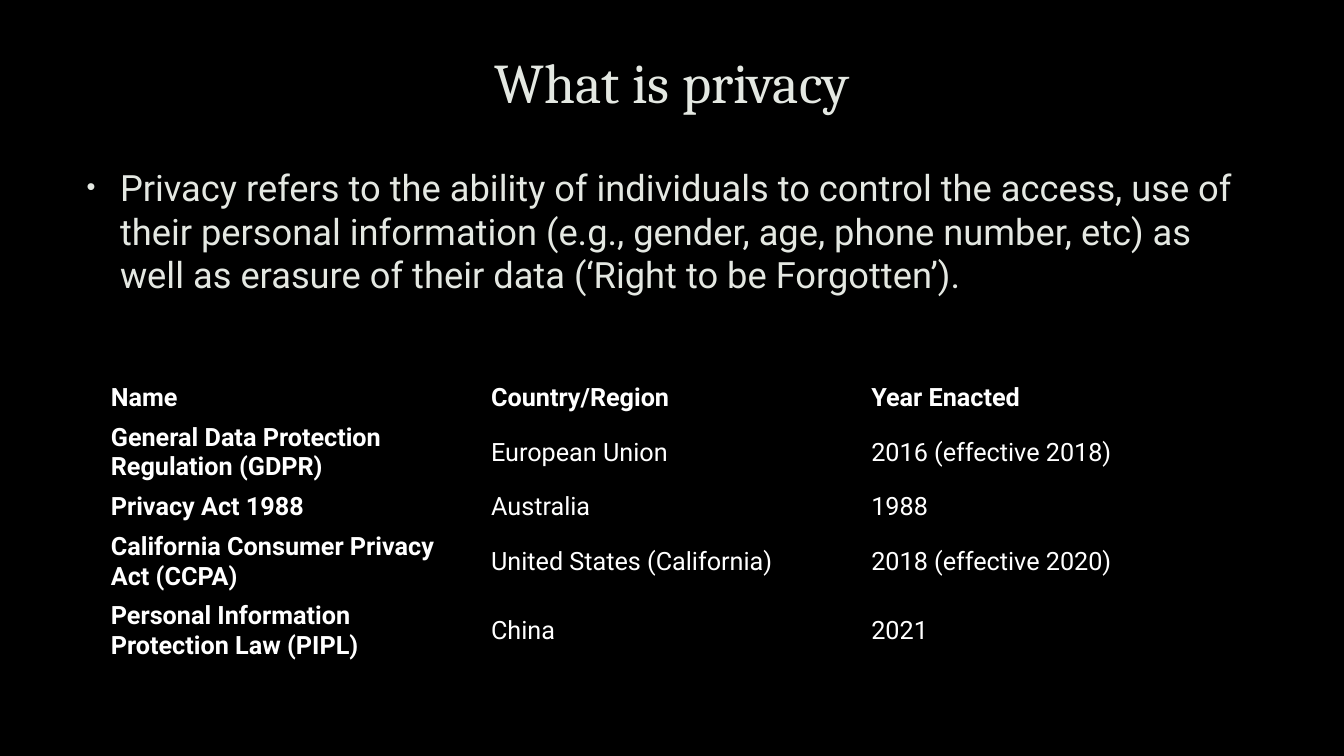
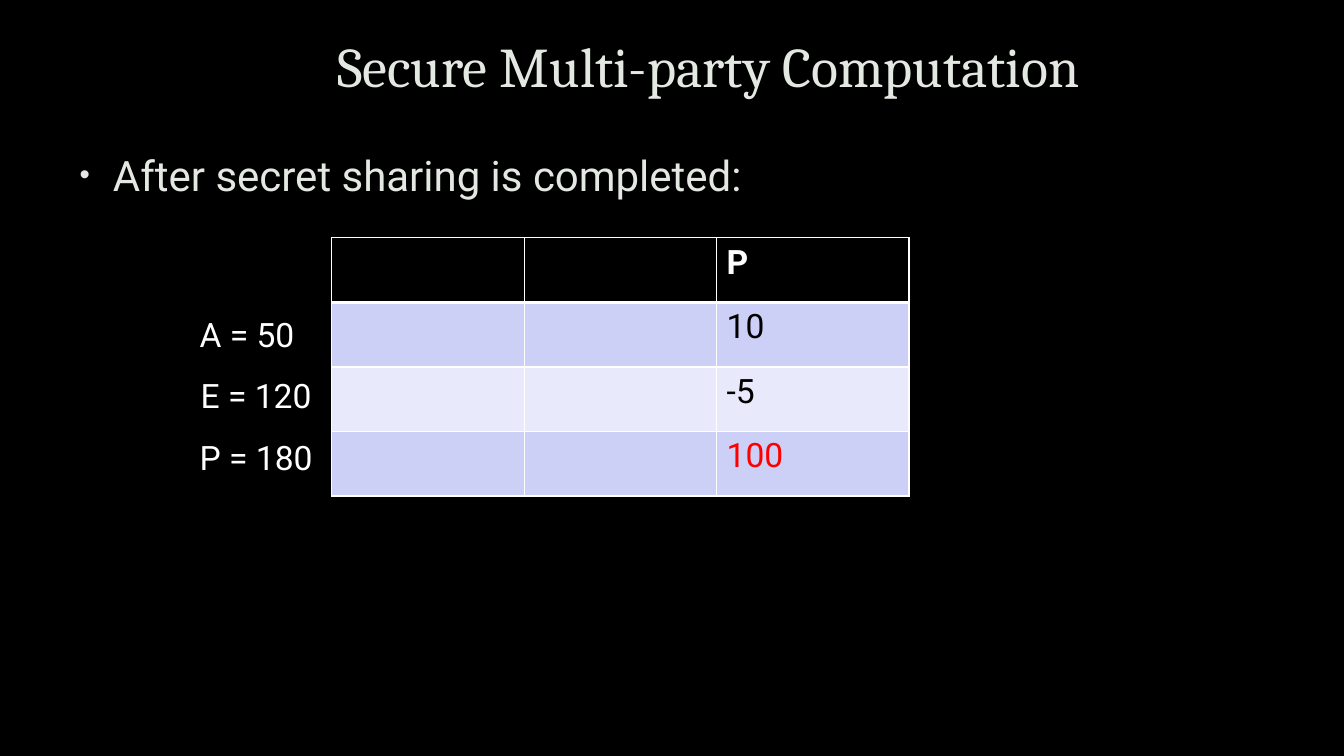
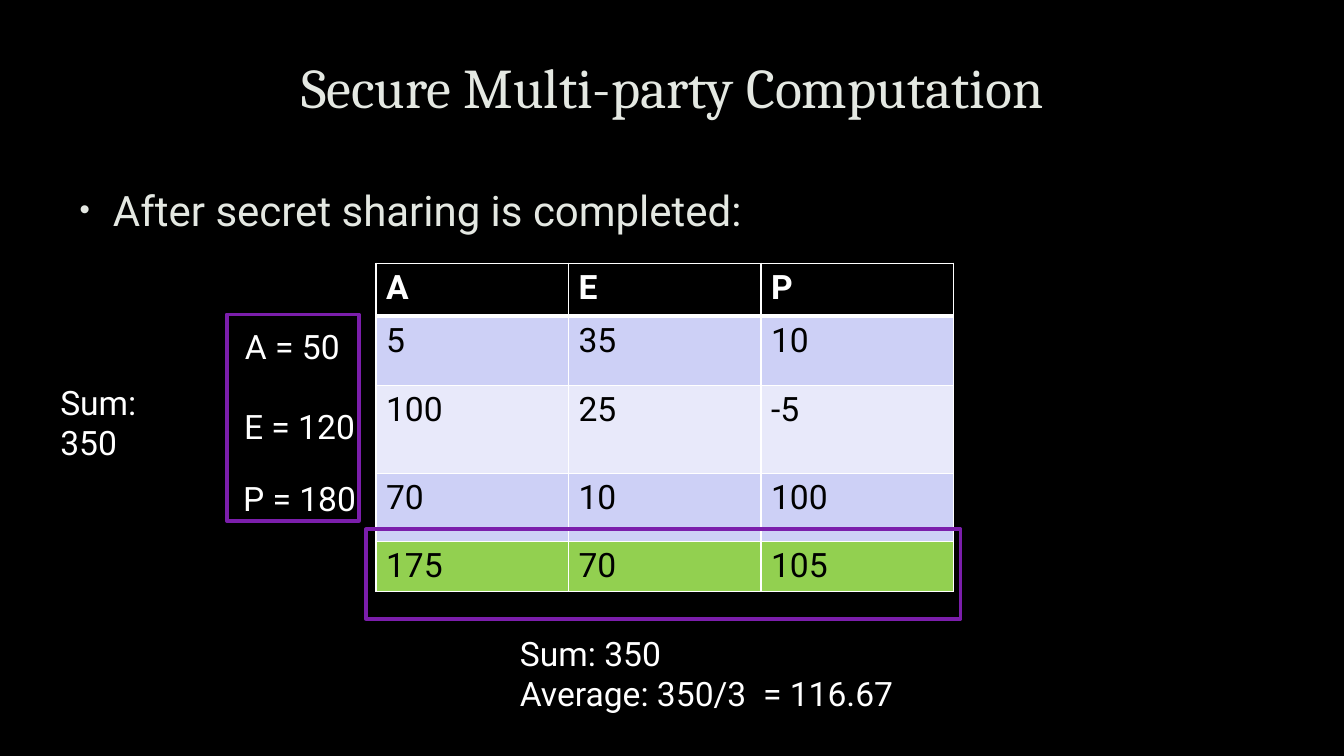
from lxml.etree import SubElement
from pptx import Presentation
from pptx.dml.color import RGBColor
from pptx.enum.shapes import MSO_SHAPE
from pptx.enum.text import MSO_ANCHOR, MSO_AUTO_SIZE, PP_ALIGN
from pptx.oxml.ns import qn
from pptx.util import Pt

COLORS = {
    "background": "000000",
    "heading": "E4E8E2",
    "white": "FFFFFF",
    "black": "000000",
    "band_dark": "CDD0F6",
    "band_light": "E8E9FA",
    "total": "92D050",
    "alert": "FF0000",
    "frame": "7B1EAB",
}
RGB = {name: RGBColor.from_string(value) for name, value in COLORS.items()}
TITLE_FONT = "Cambria"
BODY_FONT = "Roboto"
PLAIN_TABLE_STYLE = "{2D5ABB26-0587-4C30-8999-92F81FD0307C}"


def add_slide(title, title_place, bullet, body_place, body_size, line_spacing):
    """Add a page with a centred title and one bullet; places are left, top, width, height."""
    page = deck.slides.add_slide(deck.slide_layouts[1])
    for box, text, place in (
        (page.shapes.title, title, title_place),
        (page.placeholders[1], bullet, body_place),
    ):
        box.left, box.top, box.width, box.height = [Pt(length) for length in place]
        box.text_frame.text = text
        box.text_frame.word_wrap = True
        box.text_frame.auto_size = MSO_AUTO_SIZE.NONE

    page.shapes.title.text_frame.vertical_anchor = MSO_ANCHOR.MIDDLE
    heading = page.shapes.title.text_frame.paragraphs[0]
    heading.alignment = PP_ALIGN.CENTER
    heading.line_spacing = 0.9

    para = page.placeholders[1].text_frame.paragraphs[0]
    props = para._p.get_or_add_pPr()
    props.set("marL", str(Pt(27.4)))
    props.set("indent", str(Pt(-23.8)))
    bullet_color = SubElement(props, qn("a:buClr"))
    SubElement(bullet_color, qn("a:srgbClr"), val=COLORS["heading"])
    SubElement(props, qn("a:buSzPct"), val="70000")
    SubElement(props, qn("a:buChar"), char="•")
    para.line_spacing = line_spacing
    para.space_after = Pt(6)

    for line, font_name, size in ((heading, TITLE_FONT, 40), (para, BODY_FONT, body_size)):
        line.font.name = font_name
        line.font.size = Pt(size)
        line.font.color.rgb = RGB["heading"]
    return page


def add_plain_table(page, left, top, column_width, heights, rows, size):
    """Add an unfilled table with white text and a bold first row."""
    columns = len(rows[0])
    table = page.shapes.add_table(
        len(rows), columns, Pt(left), Pt(top), Pt(column_width * columns), Pt(sum(heights))
    ).table
    table._tbl.tblPr.find(qn("a:tableStyleId")).text = PLAIN_TABLE_STYLE
    table.horz_banding = False
    for column in table.columns:
        column.width = Pt(column_width)
    for r, (height, texts) in enumerate(zip(heights, rows)):
        table.rows[r].height = Pt(height)
        for c, text in enumerate(texts):
            cell = table.cell(r, c)
            cell.text = text
            cell.fill.background()
            font = cell.text_frame.paragraphs[0].font
            font.name = BODY_FONT
            font.size = Pt(size)
            font.bold = r == 0
            font.color.rgb = RGB["white"]
    return table


deck = Presentation()
deck.slide_width, deck.slide_height = Pt(960), Pt(540)
background = deck.slide_master.background.fill
background.solid()
background.fore_color.rgb = RGB["background"]

# Privacy and its laws
privacy_page = add_slide(
    "What is privacy",
    (72.7, 28.8, 815, 64.8),
    "Privacy refers to the ability of individuals to control the access, use of "
    "their personal information (e.g., gender, age, phone number, etc) as well as "
    "erasure of their data (‘Right to be Forgotten’).",
    (51.1, 114.5, 857.5, 105),
    25.9,
    1.0,
)
laws = [
    ("Name", "Country/Region", "Year Enacted"),
    ("General Data Protection Regulation (GDPR)", "European Union", "2016 (effective 2018)"),
    ("Privacy Act 1988", "Australia", "1988"),
    ("California Consumer Privacy Act (CCPA)", "United States (California)", "2018 (effective 2020)"),
    ("Personal Information Protection Law (PIPL)", "China", "2021"),
]
law_table = add_plain_table(
    privacy_page, 72, 270, 271.6, [28.5, 49.5, 28.5, 49.5, 49.5], laws, 18
)
for cell in law_table.iter_cells():
    cell.vertical_anchor = MSO_ANCHOR.MIDDLE
for r in range(len(laws)):
    law_table.cell(r, 0).text_frame.paragraphs[0].font.bold = True

# Secret shares: one party's view, then all of them
TOPIC = "Secure Multi-party Computation"
SHARED = "After secret sharing is completed:"
share_page = add_slide(TOPIC, (98.6, 0, 815, 99.4), SHARED, (46.1, 99.4, 794, 77), 30, 1.1)
sum_page = add_slide(TOPIC, (72.7, 15.1, 815, 99.4), SHARED, (46.1, 124.6, 794, 77), 30, 1.1)

share_table = add_plain_table(
    share_page, 236.9, 169.9, 137.5, [46.1] * 4,
    [("", "", "P"), ("", "", "10"), ("", "", "-5"), ("", "", "100")], 24,
)
sum_table = add_plain_table(
    sum_page, 268.6, 188, 137.5, [37.8, 49.3, 63, 48.8, 35.6],
    [("A", "E", "P"), ("5", "35", "10"), ("100", "25", "-5"), ("70", "10", "100"),
     ("175", "70", "105")], 24,
)
ROW_FILLS = ["black", "band_dark", "band_light", "band_dark", "total"]
for table in (share_table, sum_table):
    for r, row in enumerate(table.rows):
        for cell in row.cells:
            edges = {
                "a:lnL": 1,
                "a:lnR": 1,
                "a:lnT": 3 if r == 1 else 1,
                "a:lnB": 3 if r == 0 else 1,
            }
            for tag, width in edges.items():
                edge = SubElement(cell._tc.get_or_add_tcPr(), qn(tag), w=str(Pt(width)))
                edge_fill = SubElement(edge, qn("a:solidFill"))
                SubElement(edge_fill, qn("a:srgbClr"), val=COLORS["white"])
            cell.fill.solid()
            cell.fill.fore_color.rgb = RGB[ROW_FILLS[r]]
            if r > 0:
                cell.text_frame.paragraphs[0].font.color.rgb = RGB["black"]
share_table.cell(3, 2).text_frame.paragraphs[0].font.color.rgb = RGB["alert"]

for left, top, width, height in ((261.4, 378, 424.8, 64.1), (162, 224.6, 94.3, 147.6)):
    frame = sum_page.shapes.add_shape(
        MSO_SHAPE.RECTANGLE, Pt(left), Pt(top), Pt(width), Pt(height)
    )
    frame.shadow.inherit = False
    frame.fill.background()
    frame.line.color.rgb = RGB["frame"]
    frame.line.width = Pt(2.5)

labels = [
    (share_page, "A = 50", 88.6, 218.9, 175.7, 38.9, PP_ALIGN.CENTER),
    (share_page, "E = 120", 97.2, 266.4, 171.4, 31.7, PP_ALIGN.CENTER),
    (share_page, "P = 180", 97.2, 310.3, 171.4, 31.7, PP_ALIGN.CENTER),
    (sum_page, "A = 50", 123.1, 231.1, 171.4, 31.7, PP_ALIGN.CENTER),
    (sum_page, "E = 120", 128.2, 288.7, 171.4, 31.7, PP_ALIGN.CENTER),
    (sum_page, "P = 180", 128.2, 339.8, 171.4, 31.7, PP_ALIGN.CENTER),
    (sum_page, "Sum: 350\nAverage: 350/3  = 116.67", 364.3, 455, 338.4, 51.1, PP_ALIGN.LEFT),
    (sum_page, "Sum: 350", 36, 275.8, 108, 51.1, PP_ALIGN.LEFT),
]
for page, text, left, top, width, height, alignment in labels:
    box = page.shapes.add_textbox(Pt(left), Pt(top), Pt(width), Pt(height))
    box.text_frame.text = text
    box.text_frame.word_wrap = True
    box.text_frame.vertical_anchor = MSO_ANCHOR.MIDDLE
    for para in box.text_frame.paragraphs:
        para.alignment = alignment
        para.font.name = BODY_FONT
        para.font.size = Pt(24)
        para.font.color.rgb = RGB["white"]

deck.save("out.pptx")
